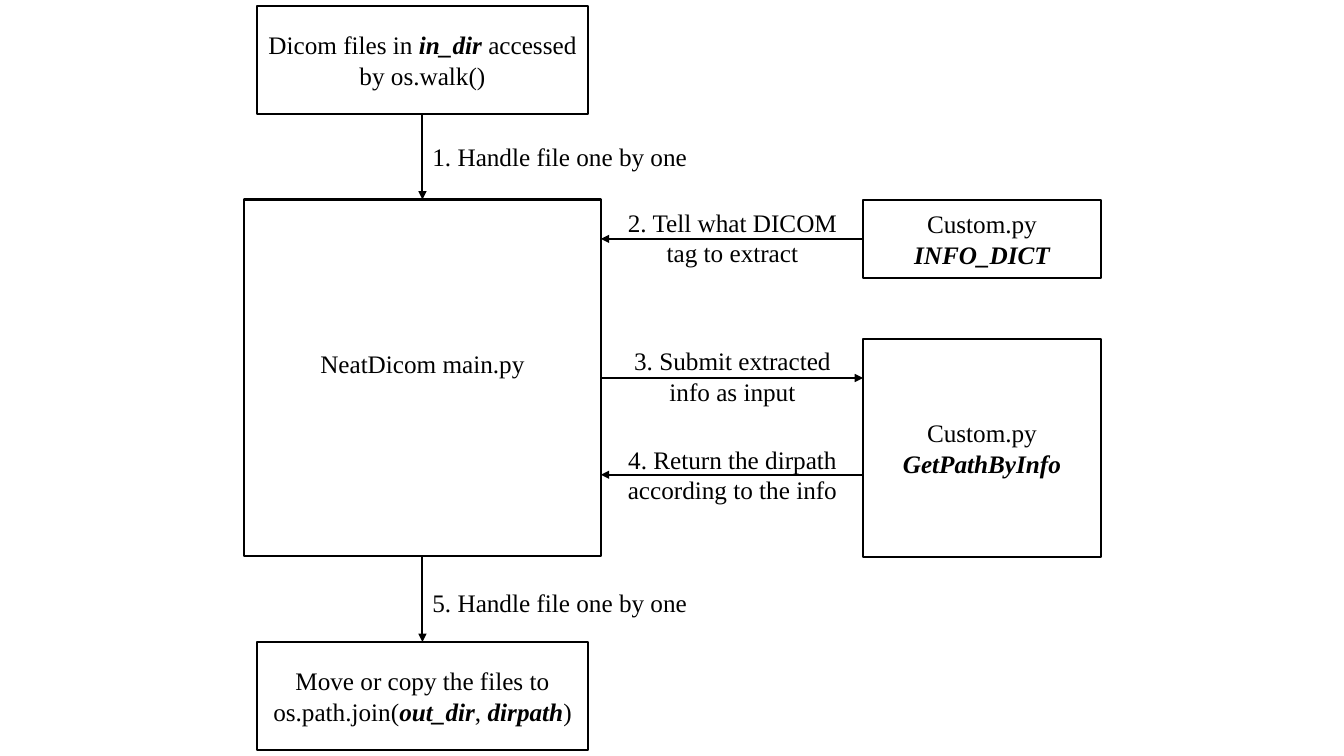
from pptx import Presentation
from pptx.dml.color import RGBColor
from pptx.enum.shapes import MSO_CONNECTOR, MSO_SHAPE
from pptx.enum.text import MSO_ANCHOR, PP_ALIGN
from pptx.oxml.ns import qn
from pptx.util import Pt
from lxml import etree

PX = 9144
BLACK = RGBColor(0, 0, 0)
WHITE = RGBColor(255, 255, 255)
FONT = "Times New Roman"
RECTANGLE = MSO_SHAPE.RECTANGLE
STRAIGHT = MSO_CONNECTOR.STRAIGHT
MIDDLE, TOP_ANCHOR = MSO_ANCHOR.MIDDLE, MSO_ANCHOR.TOP
CENTER, LEFT_ALIGN = PP_ALIGN.CENTER, PP_ALIGN.LEFT
TOP, LEFT, BOTTOM = 0, 1, 2


def emu(*lengths):
    return [length * PX for length in lengths]


def write(shape, text, align=CENTER, anchor=MIDDLE, wrap=True, margin_bottom=5):
    frame = shape.text_frame
    frame.word_wrap = wrap
    frame.vertical_anchor = anchor
    frame.margin_bottom = margin_bottom * PX
    for index, line in enumerate(text.split("\n")):
        paragraph = frame.paragraphs[0] if index == 0 else frame.add_paragraph()
        paragraph.alignment = align
        for position, part in enumerate(line.split("*")):
            if not part:
                continue
            run = paragraph.add_run()
            run.text = part
            run.font.name = FONT
            run.font.size = Pt(18)
            run.font.color.rgb = BLACK
            run.font.bold = run.font.italic = position % 2 == 1


def add_step(slide, box, text, **text_format):
    step = slide.shapes.add_shape(RECTANGLE, *emu(*box))
    step.shadow.inherit = False
    step.fill.solid()
    step.fill.fore_color.rgb = WHITE
    step.line.color.rgb = BLACK
    step.line.width = Pt(1.5)
    write(step, text, **text_format)
    return step


def add_label(slide, box, text, **text_format):
    label = slide.shapes.add_textbox(*emu(*box))
    write(label, text, anchor=TOP_ANCHOR, **text_format)


def add_arrow(slide, start, end, source=None, target=None):
    arrow = slide.shapes.add_connector(STRAIGHT, *emu(*start, *end))
    arrow.line.color.rgb = BLACK
    arrow.line.width = Pt(1.5)
    properties = arrow.line._get_or_add_ln()
    etree.SubElement(properties, qn("a:tailEnd"), type="triangle")
    etree.SubElement(arrow._element.spPr, qn("a:effectLst"))
    if source:
        arrow.begin_connect(*source)
    if target:
        arrow.end_connect(*target)


def add_file_flow(slide, box):
    left, top, width, height = box
    center, bottom = left + width // 2, top + height
    file_width, file_height, gap = 328, 107, 85
    file_left = center - file_width // 2
    main = add_step(slide, box, "NeatDicom main.py", margin_bottom=34)
    source_files = add_step(
        slide, (file_left, top - gap - file_height, file_width, file_height),
        "Dicom files in *in_dir *accessed by os.walk()")
    output_files = add_step(
        slide, (file_left, bottom + gap, file_width, file_height),
        "Move or copy the files to os.path.join(*out_dir*, *dirpath*)")
    handovers = [
        (source_files, main, top - gap, 22, "1. Handle file one by one"),
        (main, output_files, bottom, 26, "5. Handle file one by one"),
    ]
    for source, target, start, offset, text in handovers:
        add_arrow(slide, (center, start), (center, start + gap),
                  (source, BOTTOM), (target, TOP))
        add_label(slide, (center, start + offset, 275, 40), text,
                  align=LEFT_ALIGN, wrap=False)


def add_custom_exchange(slide, box, main_right):
    left, top, width, height = box
    info_height, path_height = 78, 217
    info_dict = add_step(slide, (left, top, width, info_height),
                         "Custom.py\n*INFO_DICT*")
    add_step(slide, (left, top + height - path_height, width, path_height),
             "Custom.py\n*GetPathByInfo*")
    near, far = main_right, left
    messages = [
        (39, far, near, (info_dict, LEFT), 3, "2. Tell what DICOM tag to extract"),
        (177, near, far, None, 140, "3. Submit extracted info as input"),
        (273, far, near, None, 238, "4. Return the dirpath according to the info"),
    ]
    for level, start, end, source, label_top, text in messages:
        add_arrow(slide, (start, top + level), (end, top + level), source)
        add_label(slide, (near + 7, top + label_top, 247, 71), text)


def main():
    presentation = Presentation()
    presentation.slide_width, presentation.slide_height = emu(1333, 750)
    slide = presentation.slides.add_slide(presentation.slide_layouts[6])
    add_file_flow(slide, (242, 198, 354, 354))
    add_custom_exchange(slide, (856, 198, 236, 355), main_right=596)
    presentation.save("out.pptx")


if __name__ == "__main__":
    main()
